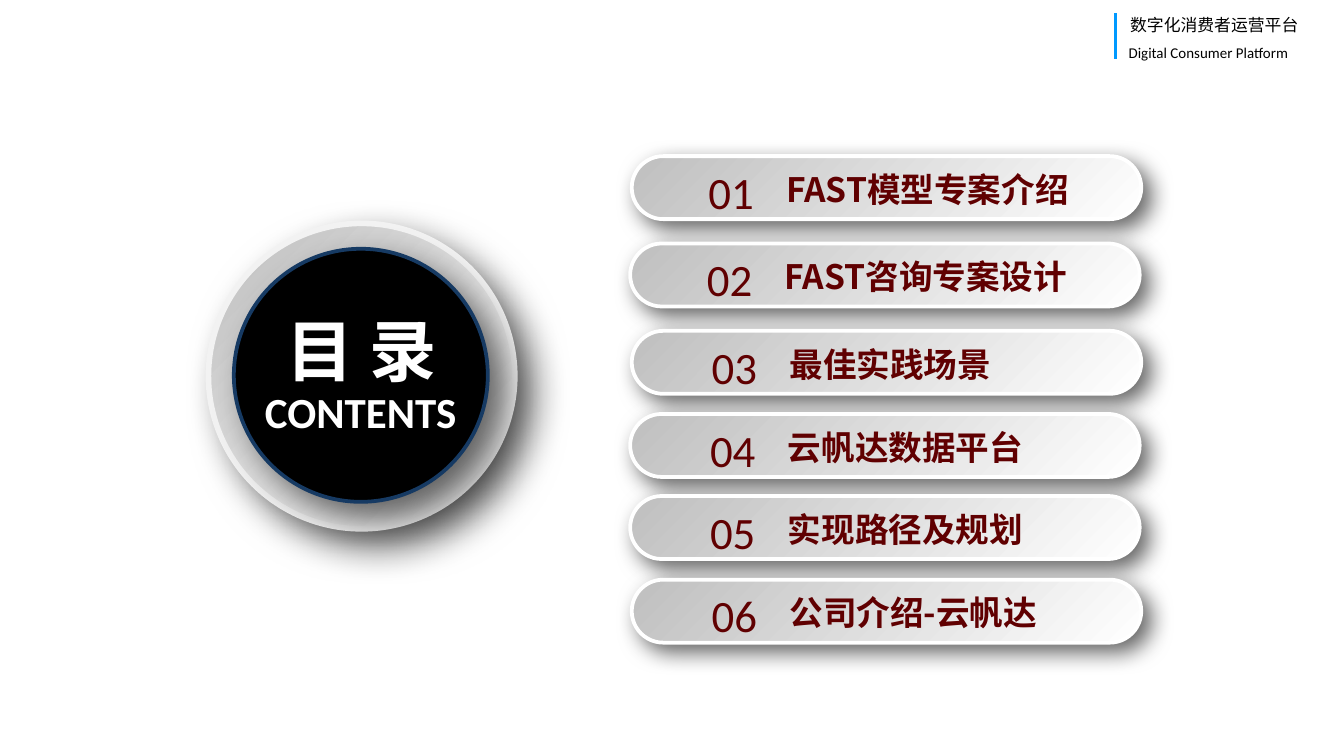
"""Build the contents slide of the consumer platform deck."""
from dataclasses import dataclass

from lxml import etree
from pptx import Presentation
from pptx.dml.color import RGBColor
from pptx.enum.shapes import MSO_CONNECTOR, MSO_SHAPE
from pptx.enum.text import MSO_ANCHOR, MSO_AUTO_SIZE, PP_ALIGN
from pptx.oxml.ns import qn
from pptx.shapes.autoshape import Shape
from pptx.shapes.shapetree import GroupShapes
from pptx.util import Cm, Pt

STRAIGHT = MSO_CONNECTOR.STRAIGHT
OVAL, PILL = MSO_SHAPE.OVAL, MSO_SHAPE.ROUNDED_RECTANGLE
TOP = MSO_ANCHOR.TOP
NO_AUTOFIT = MSO_AUTO_SIZE.NONE
LEFT, CENTER, JUSTIFY = PP_ALIGN.LEFT, PP_ALIGN.CENTER, PP_ALIGN.JUSTIFY
TITLE_ONLY = 5


@dataclass(frozen=True)
class TextStyle:
    size: float
    color: str
    font: str = "Calibri"
    bold: bool = False
    align: PP_ALIGN = LEFT
    inset_x: float = 0.25
    inset_y: float = 0.13


@dataclass(frozen=True)
class Theme:
    accent: str = "0099FF"
    core: str = "000000"
    core_edge: str = "163A63"
    edge: str = "FFFFFF"
    ring_edge: str = "F2F2F2"
    light: str = "FFFFFF"
    dark: str = "BFBFBF"
    shadow: str = "000000"
    platform: TextStyle = TextStyle(9, "000000", align=JUSTIFY)
    platform_en: TextStyle = TextStyle(8, "000000", align=JUSTIFY)
    title: TextStyle = TextStyle(36, "FFFFFF", bold=True, align=CENTER,
                                 inset_x=0.18, inset_y=0.1)
    subtitle: TextStyle = TextStyle(23, "FFFFFF", bold=True, align=CENTER,
                                    inset_x=0.18, inset_y=0.1)
    number: TextStyle = TextStyle(24, "600001")
    chapter: TextStyle = TextStyle(18, "600001", "Noto Sans CJK SC", True)


@dataclass(frozen=True)
class Box:
    left: float
    top: float
    width: float
    height: float

    def lengths(self) -> tuple[Cm, Cm, Cm, Cm]:
        return Cm(self.left), Cm(self.top), Cm(self.width), Cm(self.height)


@dataclass(frozen=True)
class Chapter:
    name: str
    left: float
    top: float
    indent: float = 0.06


THEME = Theme()
CHAPTERS = (
    Chapter("FAST模型专案介绍", 11.94, 2.95, 0),
    Chapter("FAST咨询专案设计", 11.91, 4.6, 0),
    Chapter("最佳实践场景", 11.94, 6.25),
    Chapter("云帆达数据平台", 11.91, 7.82),
    Chapter("实现路径及规划", 11.91, 9.37),
    Chapter("公司介绍-云帆达", 11.94, 10.95),
)


def write(target: Shape, text: str, style: TextStyle, wrap: bool = True) -> None:
    """Fill a text shape with one styled paragraph."""
    frame = target.text_frame
    frame.text = text
    frame.word_wrap = wrap
    frame.auto_size = NO_AUTOFIT
    frame.vertical_anchor = TOP
    frame.margin_left = frame.margin_right = Cm(style.inset_x)
    frame.margin_top = frame.margin_bottom = Cm(style.inset_y)
    paragraph = frame.paragraphs[0]
    paragraph.alignment = style.align
    font = paragraph.font
    font.name, font.size, font.bold = style.font, Pt(style.size), style.bold
    font.color.rgb = RGBColor.from_string(style.color)


def add_label(shapes: GroupShapes, box: Box, text: str, style: TextStyle,
              wrap: bool = True) -> None:
    """Add a text box."""
    write(shapes.add_textbox(*box.lengths()), text, style, wrap)


def cast_shadow(panel: Shape, blur: float, distance: float) -> None:
    """Give a shape a soft shadow to the lower right."""
    panel.shadow.inherit = False
    effects = panel._element.spPr.find(qn("a:effectLst"))
    shadow = etree.SubElement(
        effects, qn("a:outerShdw"), blurRad=str(Pt(blur)), dist=str(Pt(distance)),
        dir="2700000", algn="tl", rotWithShape="0")
    color = etree.SubElement(shadow, qn("a:srgbClr"), val=THEME.shadow)
    etree.SubElement(color, qn("a:alpha"), val="60000")


def add_panel(shapes: GroupShapes, preset: MSO_SHAPE, box: Box, edge: str,
              edge_width: float, blur: float, solid: str | None = None) -> Shape:
    """Add a shadowed panel with a solid or silver gradient fill."""
    panel = shapes.add_shape(preset, *box.lengths())
    if solid:
        panel.fill.solid()
        panel.fill.fore_color.rgb = RGBColor.from_string(solid)
    else:
        panel.fill.gradient()
        panel.fill.gradient_angle = 135
        for stop, color in zip(panel.fill.gradient_stops, (THEME.light, THEME.dark)):
            stop.color.rgb = RGBColor.from_string(color)
    panel.line.color.rgb = RGBColor.from_string(edge)
    panel.line.width = Pt(edge_width)
    cast_shadow(panel, blur, 0.6 * blur if preset == OVAL else 0.5 * blur)
    return panel


def add_header(shapes: GroupShapes) -> None:
    """Add the platform name beside its accent rule."""
    rule = shapes.add_connector(STRAIGHT, Cm(21.08), Cm(0.25), Cm(21.08), Cm(1.12))
    rule.line.color.rgb = RGBColor.from_string(THEME.accent)
    rule.line.width = Pt(1.5)
    etree.SubElement(rule._element.spPr, qn("a:effectLst"))
    add_label(shapes, Box(21.11, 0.15, 3.96, 0.64), "数字化消费者运营平台", THEME.platform)
    add_label(shapes, Box(21.08, 0.69, 3.99, 0.61), "Digital Consumer Platform",
              THEME.platform_en)


def add_chapter(shapes: GroupShapes, number: int, chapter: Chapter) -> None:
    """Add one numbered chapter pill."""
    left, top = chapter.left, chapter.top
    pill = add_panel(shapes, PILL, Box(left, top, 9.63, 1.19), THEME.edge, 2, 12)
    pill.adjustments[0] = 0.5
    add_label(shapes, Box(left + 2.67 + chapter.indent, top + 0.11, 6.7, 1.02),
              chapter.name, THEME.chapter)
    add_label(shapes, Box(left + 1.2 + chapter.indent, top + 0.03, 1.37, 1.27),
              f"{number:02}", THEME.number, wrap=False)


def main() -> None:
    """Compose and save the slide."""
    deck = Presentation()
    deck.slide_width, deck.slide_height = Cm(25.4), Cm(14.28)
    slide = deck.slides.add_slide(deck.slide_layouts[TITLE_ONLY])
    shapes = slide.shapes
    add_header(shapes.add_group_shape().shapes)

    add_panel(shapes, OVAL, Box(3.94, 4.22, 5.79, 5.77), THEME.ring_edge, 3, 20)
    add_panel(shapes, OVAL, Box(4.42, 4.7, 4.8, 4.78), THEME.core_edge, 2, 20, THEME.core)
    title = shapes.title
    title.left, title.top, title.width, title.height = Box(4.88, 5.74, 3.91, 1.73).lengths()
    write(title, "目 录", THEME.title)
    shapes._spTree.append(title._element)
    add_label(shapes, Box(4.19, 7.19, 5.26, 1.17), "CONTENTS", THEME.subtitle)

    for number, chapter in enumerate(CHAPTERS, start=1):
        add_chapter(shapes.add_group_shape().shapes, number, chapter)
    deck.save("out.pptx")


if __name__ == "__main__":
    main()
